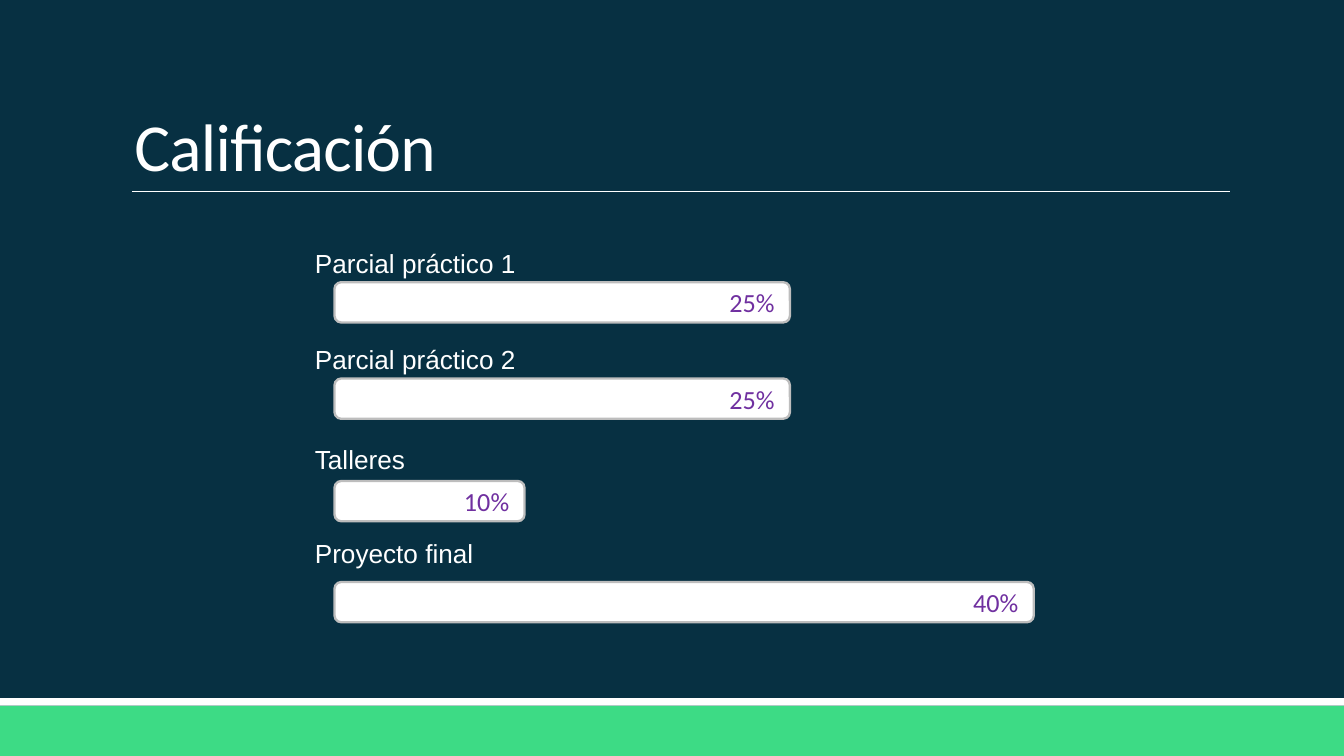
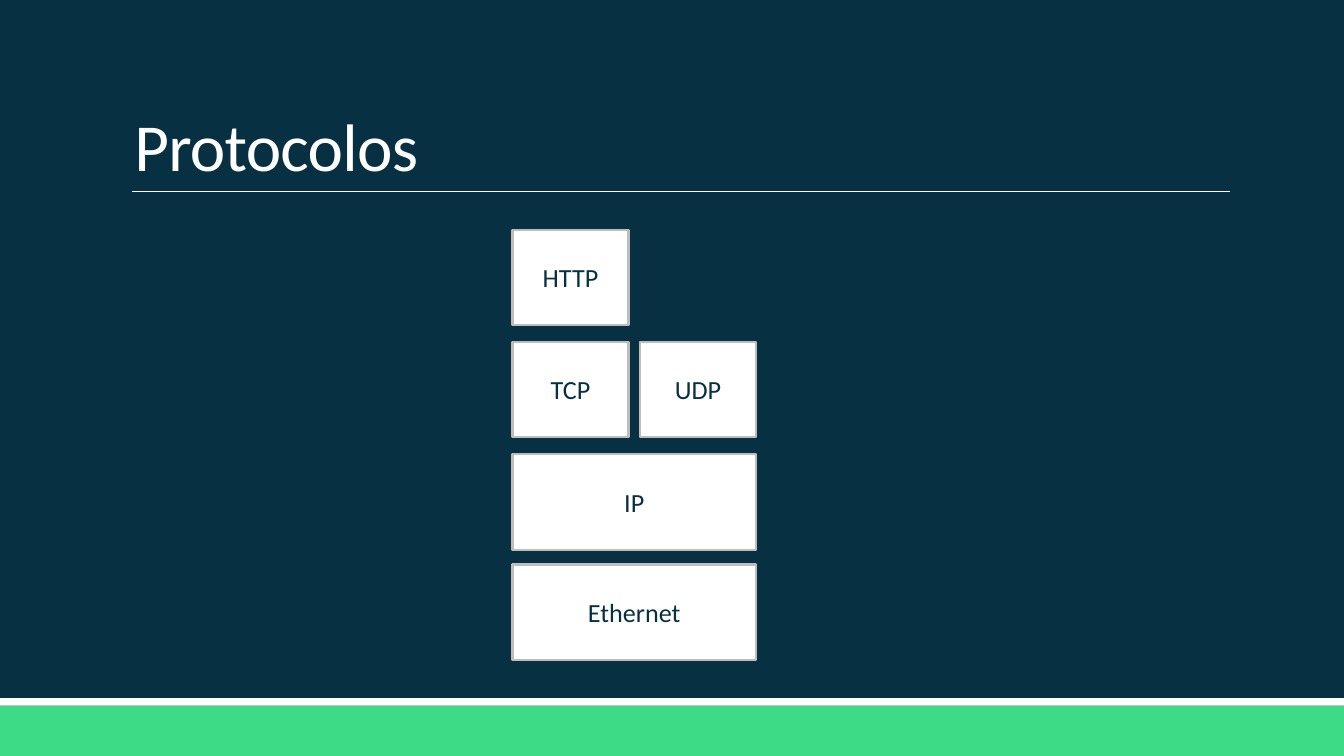
from lxml import etree
from pptx import Presentation
from pptx.dml.color import RGBColor
from pptx.enum.shapes import MSO_CONNECTOR, MSO_SHAPE
from pptx.enum.text import MSO_ANCHOR, MSO_AUTO_SIZE, PP_ALIGN
from pptx.oxml.ns import qn
from pptx.util import Pt

RECTANGLE, ROUNDED = MSO_SHAPE.RECTANGLE, MSO_SHAPE.ROUNDED_RECTANGLE
STRAIGHT = MSO_CONNECTOR.STRAIGHT
MIDDLE, BOTTOM = MSO_ANCHOR.MIDDLE, MSO_ANCHOR.BOTTOM
NO_FIT, GROW = MSO_AUTO_SIZE.NONE, MSO_AUTO_SIZE.SHAPE_TO_FIT_TEXT
LEFT, CENTER, RIGHT = PP_ALIGN.LEFT, PP_ALIGN.CENTER, PP_ALIGN.RIGHT

COLORS = {
    name: RGBColor.from_string(value)
    for name, value in {
        "navy": "073042",
        "green": "3DDB85",
        "white": "FFFFFF",
        "gray": "BDBDBD",
        "purple": "7030A0",
    }.items()
}
WIDTH, HEIGHT = 720, 405


def write(shape, text, size, font, color, align=LEFT):
    para = shape.text_frame.paragraphs[0]
    para.text = text
    para.alignment = align
    span = para.runs[0]
    span.font.size = Pt(size)
    span.font.name = font
    span.font.color.rgb = COLORS[color]
    return para


def add_box(page, kind, left, top, width, height, fill="white", outline=None):
    """Add a flat preset shape, with a border only if outline names a colour."""
    box = page.shapes.add_shape(kind, Pt(left), Pt(top), Pt(width), Pt(height))
    box.shadow.inherit = False
    box.fill.solid()
    box.fill.fore_color.rgb = COLORS[fill]
    if outline:
        box.line.color.rgb = COLORS[outline]
        box.line.width = Pt(1.25)
    else:
        box.line.fill.background()
    box.text_frame.vertical_anchor = MIDDLE
    return box


deck = Presentation()
deck.slide_width, deck.slide_height = Pt(WIDTH), Pt(HEIGHT)

# Shared layout: background, title position, rule and footer bands
layout = deck.slide_layouts[5]
layout.background.fill.solid()
layout.background.fill.fore_color.rgb = COLORS["navy"]
for holder in list(layout.placeholders):
    if holder.placeholder_format.idx != 0:
        layout.shapes.element.remove(holder.element)

pages = []
for heading in ("Calificación", "Protocolos"):
    page = deck.slides.add_slide(layout)
    title = page.shapes.title
    title.left, title.top = Pt(64.8), Pt(17.3)
    title.width, title.height = Pt(594), Pt(85.7)
    title.text_frame.vertical_anchor = BOTTOM
    title.text_frame.auto_size = NO_FIT
    title.text_frame.word_wrap = True
    para = write(title, heading, 36, "Calibri", "white")
    para.line_spacing = 0.85
    para.runs[0]._r.get_or_add_rPr().set("spc", "-40")
    pages.append(page)
grading, protocols = pages

# New shapes start on a slide, then move to the layout both slides use
footer = add_box(grading, RECTANGLE, 0, 378, WIDTH, 27, "green")
stripe = add_box(grading, RECTANGLE, 0, 374, WIDTH, 4)
rule = grading.shapes.add_connector(STRAIGHT, Pt(70.6), Pt(102.6), Pt(658.8), Pt(102.6))
rule.line.color.rgb = COLORS["white"]
rule.line.width = Pt(0.5)
etree.SubElement(rule.element.spPr, qn("a:effectLst"))
for shape in (footer, stripe, rule):
    layout.shapes.element.append(shape.element)

# Grading: label, label top, bar top, bar width, weight
for label, label_top, bar_top, bar_width, weight in (
    ("Parcial práctico 1", 128.9, 151.2, 244, "25%"),
    ("Parcial práctico 2", 180.2, 202.8, 244, "25%"),
    ("Talleres", 234, 257.7, 101.8, "10%"),
    ("Proyecto final", 284.6, 311.8, 374.6, "40%"),
):
    caption = grading.shapes.add_textbox(Pt(161.6), Pt(label_top), Pt(180), Pt(24.2))
    caption.text_frame.word_wrap = True
    caption.text_frame.auto_size = GROW
    write(caption, label, 14, "Arial", "white")
    bar = add_box(grading, ROUNDED, 179.2, bar_top, bar_width, 21.6, outline="gray")
    write(bar, weight, 14, "Calibri", "purple", RIGHT)

# Protocols: a stack of layers, each one or two columns wide
column, gap, layer_height = 62.3, 6, 51.2
for top, names, columns in (
    (123.1, ("HTTP",), 1),
    (183.1, ("TCP", "UDP"), 1),
    (243.4, ("IP",), 2),
    (302.4, ("Ethernet",), 2),
):
    width = columns * column + (columns - 1) * gap
    for index, name in enumerate(names):
        left = 274.5 + index * (column + gap)
        layer = add_box(protocols, RECTANGLE, left, top, width, layer_height, outline="gray")
        write(layer, name, 14, "Calibri", "navy", CENTER)

deck.save("out.pptx")
